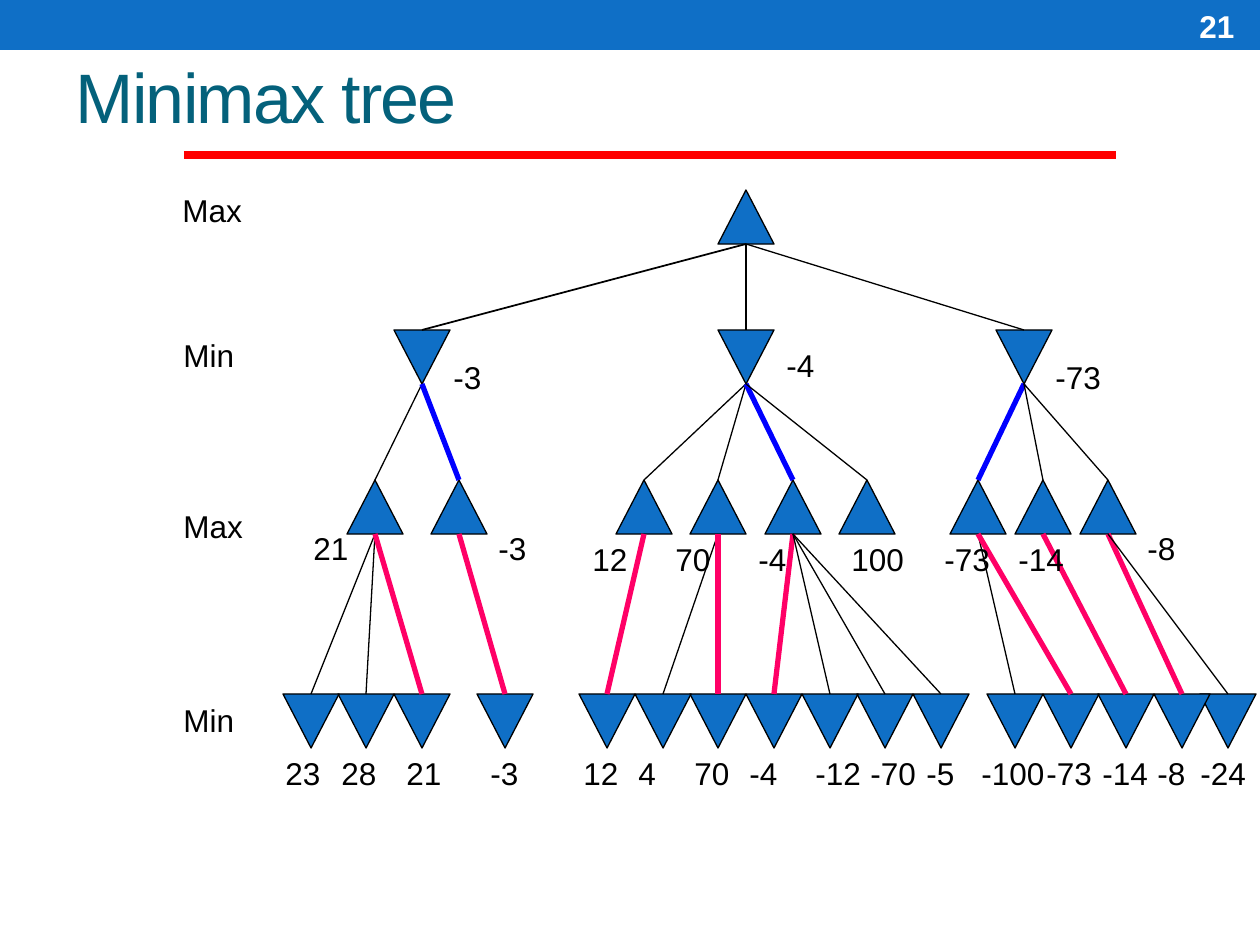
from lxml import etree
from pptx import Presentation
from pptx import util as u
from pptx.dml.color import RGBColor
from pptx.enum import shapes, text
from pptx.oxml.ns import qn

# Content: each node is (centre x, value, label left, label top, parent index, edge style)
TITLE = "Minimax tree"
PAGE_NUMBER = "21"
ROW_NAMES = [("Max", 170, 185, 86), ("Min", 171, 330, 78),
             ("Max", 171, 501, 86), ("Min", 171, 695, 78)]
ROOT = [(746, None, 0, 0, None, None)]
MIN_NODES = [
    (422, "-3", 441, 352, 0, "first"),
    (746, "-4", 774, 340, 0, "plain"),
    (1024, "-73", 1043, 352, 0, "plain"),
]
MAX_NODES = [
    (375, "21", 301, 523, 0, "plain"),
    (459, "-3", 486, 523, 0, "min"),
    (644, "12", 580, 534, 1, "plain"),
    (718, "70", 663, 534, 1, "plain"),
    (793, "-4", 746, 534, 1, "min"),
    (867, "100", 839, 534, 1, "plain"),
    (978, "-73", 932, 534, 2, "min"),
    (1043, "-14", 1006, 534, 2, "plain"),
    (1108, "-8", 1135, 523, 2, "plain"),
]
LEAVES = [
    (311, "23", 273, 748, 0, "plain"),
    (366, "28", 329, 748, 0, "plain"),
    (422, "21", 394, 748, 0, "max"),
    (505, "-3", 478, 748, 1, "max"),
    (607, "12", 571, 748, 2, "max"),
    (663, "4", 626, 748, 3, "plain"),
    (718, "70", 682, 748, 3, "max"),
    (774, "-4", 737, 748, 4, "max"),
    (830, "-12", 803, 748, 4, "plain"),
    (885, "-70", 858, 748, 4, "plain"),
    (941, "-5", 914, 748, 4, "plain"),
    (1015, "-100", 969, 748, 6, "plain"),
    (1071, "-73", 1034, 748, 6, "max"),
    (1126, "-14", 1090, 748, 7, "max"),
    (1182, "-8", 1145, 748, 8, "max"),
    (1228, "-24", 1188, 748, 8, "plain"),
]
# Each level is (top, points down, nodes)
LEVELS = [(190, False, ROOT), (330, True, MIN_NODES),
          (480, False, MAX_NODES), (694, True, LEAVES)]
EDGE_STYLES = {"plain": ("000000", 0.75), "first": ("000000", 1),
               "min": ("0000FF", 3), "max": ("FF0066", 3)}
NODE_WIDTH, NODE_HEIGHT = 56, 54
BLUE = "0F6FC6"


def px(value):
    return u.Emu(round(value * 914400 / 126))


def colour(value):
    return RGBColor.from_string(value)


def format_font(font, **values):
    font.color.rgb = colour(values.pop("color"))
    for name, value in {"name": "Arial", **values}.items():
        setattr(font, name, value)


def add_block(kind, left, top, width, height, line=None):
    shape = slide.shapes.add_shape(kind, px(left), px(top), px(width), px(height))
    shape.shadow.inherit = False
    shape.fill.solid()
    shape.fill.fore_color.rgb = colour(BLUE)
    if line:
        shape.line.color.rgb = colour(line)
        shape.line.width = u.Pt(0.75)
    else:
        shape.line.fill.background()
    return shape


def add_line(start, end, line_colour, width):
    connector = slide.shapes.add_connector(
        shapes.MSO_CONNECTOR.STRAIGHT, *map(px, start + end))
    connector.line.color.rgb = colour(line_colour)
    connector.line.width = u.Pt(width)
    etree.SubElement(connector._element.spPr, qn("a:effectLst"))


def add_label(words, left, top, width, height=50, color="000000", bold=False):
    box = slide.shapes.add_textbox(px(left), px(top), px(width), px(height))
    frame = box.text_frame
    frame.word_wrap = False
    frame.auto_size = text.MSO_AUTO_SIZE.SHAPE_TO_FIT_TEXT
    frame.text = words
    format_font(frame.paragraphs[0].runs[0].font,
                size=u.Pt(18), color=color, bold=bold)
    return frame


def value_width(value):
    """Box width: insets, then a hyphen and digits at 18 pt."""
    return 25 + sum(10.5 if mark == "-" else 17.5 for mark in value)


presentation = Presentation()
presentation.slide_width, presentation.slide_height = u.Inches(10), u.Inches(7.5)
slide = presentation.slides.add_slide(presentation.slide_layouts[5])

# Top bar, title and page number
add_block(shapes.MSO_SHAPE.RECTANGLE, 0, 0, 1260, 50)
title = slide.shapes.title
for name, value in dict(left=63, top=-14, width=1134, height=158).items():
    setattr(title, name, px(value))
frame = title.text_frame
frame.text = TITLE
frame.auto_size = text.MSO_AUTO_SIZE.NONE
frame.vertical_anchor = text.MSO_ANCHOR.BOTTOM
frame.paragraphs[0].alignment = text.PP_ALIGN.LEFT
title_font = frame.paragraphs[0].runs[0].font
format_font(title_font, size=u.Pt(40), color="04617B")
title_font._element.set("spc", "-100")
add_line((184, 155), (1116, 155), "FF0000", 4.5)
number = add_label(PAGE_NUMBER, 1187, 3, 73, 45, "FFFFFF", True)
number.word_wrap = True
number.auto_size = text.MSO_AUTO_SIZE.NONE
number.vertical_anchor = text.MSO_ANCHOR.MIDDLE

# Row names
for name, left, top, width in ROW_NAMES:
    add_label(name, left, top, width)

# Nodes, right to left so that each overlaps the one on its right
for top, points_down, nodes in LEVELS:
    for x, *_ in reversed(nodes):
        triangle = add_block(shapes.MSO_SHAPE.ISOSCELES_TRIANGLE, x - NODE_WIDTH / 2,
                             top, NODE_WIDTH, NODE_HEIGHT, "000000")
        triangle.rotation = 180 if points_down else 0

# Edges from each parent's bottom to its child's top
for (parent_top, _, parents), (top, _, nodes) in zip(LEVELS, LEVELS[1:]):
    for x, _, _, _, parent, style in nodes:
        add_line((parents[parent][0], parent_top + NODE_HEIGHT), (x, top),
                 *EDGE_STYLES[style])

# Node values
for _, _, nodes in LEVELS[1:]:
    for _, value, left, top, _, _ in nodes:
        add_label(value, left, top, value_width(value))

presentation.save("out.pptx")
